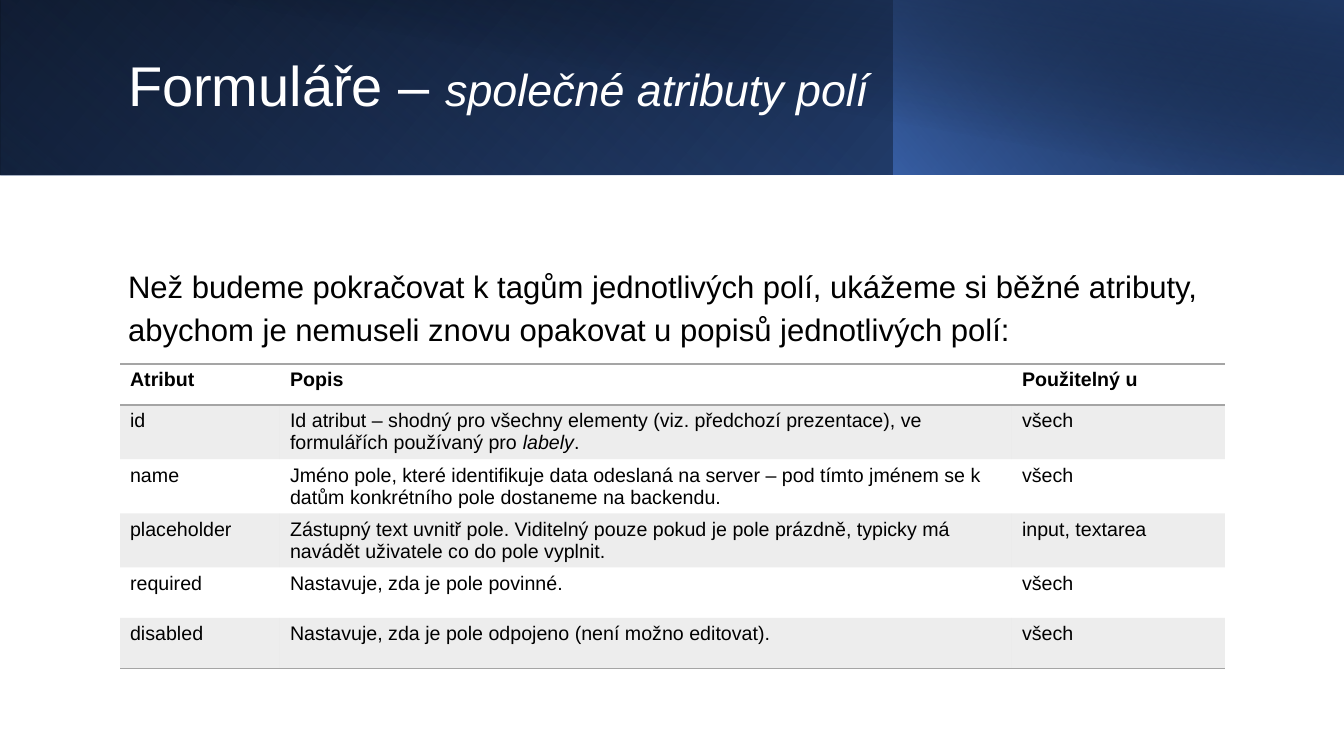
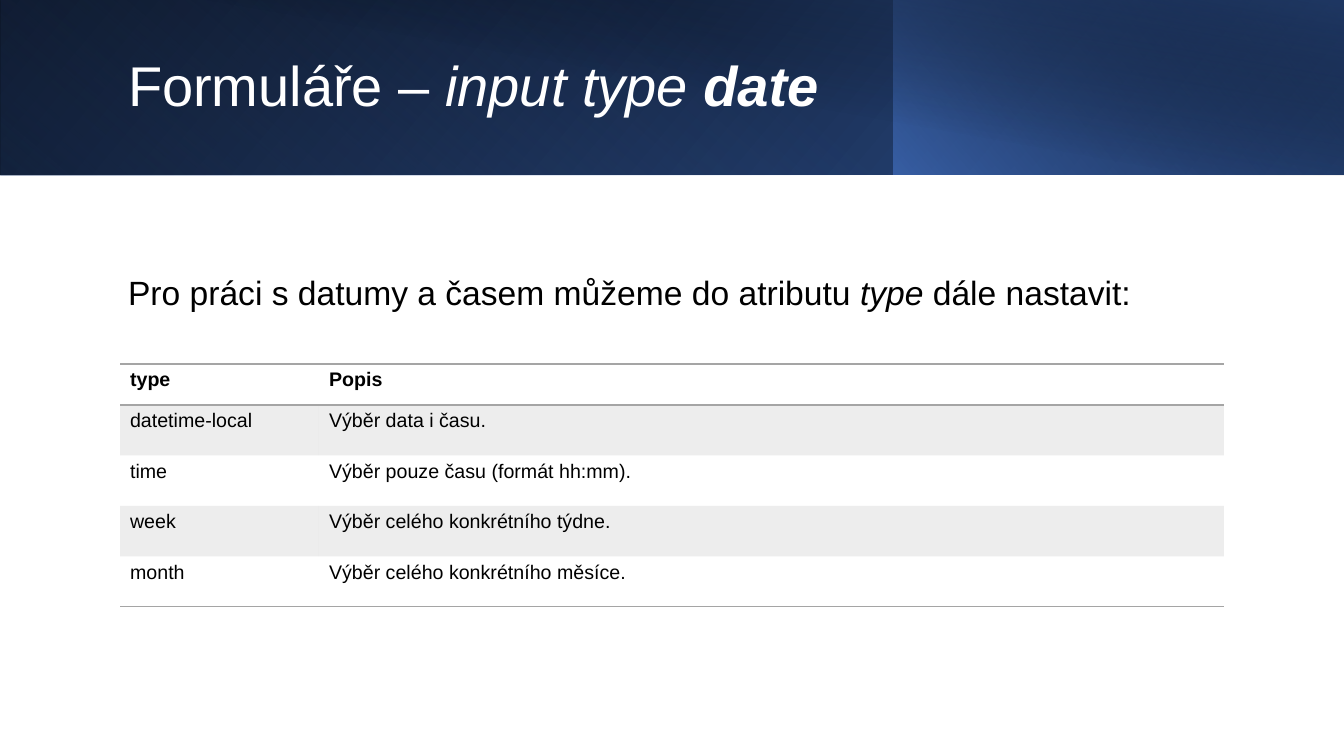
from dataclasses import dataclass
from typing import NamedTuple

import lxml.etree
import pptx
import pptx.dml.color
import pptx.enum.shapes
import pptx.enum.text
import pptx.oxml
import pptx.oxml.ns
import pptx.util

EMU_PER_INCH = 914400
PX_PER_INCH = 100.8
SLIDE_WIDTH, SLIDE_HEIGHT = 1344, 756

FONT = "Arial"
WHITE, BLACK, GREY = "FFFFFF", "000000", "A5A5A5"
BLUE, MID_BLUE, NAVY = "4472C4", "2F5496", "1F3864"
PLAIN_TABLE_STYLE = "{2D5ABB26-0587-4C30-8999-92F81FD0307C}"

TABLE_LEFT, TABLE_TOP = 120, 364
HEADER_HEIGHT = 41
ROW_PAIR_HEIGHT = 101
CELL_SIZE = 14
STRIPE_OPACITY = 20


class Box(NamedTuple):
    left: int
    top: int
    width: int
    height: int


class Run(NamedTuple):
    text: str
    size: float
    italic: bool = False
    bold: bool = False


class Stop(NamedTuple):
    position: int
    color: str
    opacity: int = 100


@dataclass(frozen=True)
class Band:
    box: Box
    angle: int
    stops: tuple[Stop, ...]
    mirrored: bool = True
    rotation: int = 0


@dataclass(frozen=True)
class Lesson:
    title: list[Run]
    intro: list[Run]
    intro_height: int
    columns: list[int]
    rows: list[list[list[Run]]]


TITLE_BOX = Box(118, 31, 776, 114)
INTRO_LEFT, INTRO_TOP, INTRO_WIDTH = 118, 245, 1105

BANDS = [
    Band(Box(0, 0, SLIDE_WIDTH, 175), 140, (Stop(0, BLACK), Stop(100, MID_BLUE))),
    Band(Box(0, 0, 895, 175), 230,
         (Stop(0, BLUE, 0), Stop(20, BLUE, 0), Stop(100, NAVY, 54)), rotation=180),
    Band(Box(894, 0, 450, 175), 220, (Stop(0, BLUE, 65), Stop(100, BLACK, 29))),
    Band(Box(50, 0, 1294, 176), 280,
         (Stop(0, BLACK, 0), Stop(50, BLACK, 0), Stop(99, NAVY, 51), Stop(100, NAVY, 51)),
         mirrored=False),
]


def px(length: int) -> int:
    return round(length * EMU_PER_INCH / PX_PER_INCH)


def rgb(color: str) -> pptx.dml.color.RGBColor:
    return pptx.dml.color.RGBColor.from_string(color)


def cell_text(text: str) -> list[Run]:
    return [Run(text, CELL_SIZE)]


def header_row(*labels: str) -> list[list[Run]]:
    return [[Run(label, CELL_SIZE, bold=True)] for label in labels]


def text_row(*texts: str) -> list[list[Run]]:
    return [cell_text(text) for text in texts]


LESSONS = [
    Lesson(
        title=[Run("Formuláře – ", 40), Run("společné atributy polí", 32, italic=True)],
        intro=[Run("Než budeme pokračovat k tagům jednotlivých polí, ukážeme si běžné atributy, "
                   "abychom je nemuseli znovu opakovat u popisů jednotlivých polí:", 22.2)],
        intro_height=119,
        columns=[160, 732, 213],
        rows=[
            header_row("Atribut", "Popis", "Použitelný u"),
            [
                cell_text("id"),
                [
                    Run("Id atribut – shodný pro všechny elementy (viz. předchozí prezentace), "
                        "ve formulářích používaný pro ", CELL_SIZE),
                    Run("labely", CELL_SIZE, italic=True),
                    Run(".", CELL_SIZE),
                ],
                cell_text("všech"),
            ],
            text_row("name",
                     "Jméno pole, které identifikuje data odeslaná na server – pod tímto "
                     "jménem se k datům konkrétního pole dostaneme na backendu.",
                     "všech"),
            text_row("placeholder",
                     "Zástupný text uvnitř pole. Viditelný pouze pokud je pole prázdně, "
                     "typicky má navádět uživatele co do pole vyplnit.",
                     "input, textarea"),
            text_row("required", "Nastavuje, zda je pole povinné.", "všech"),
            text_row("disabled", "Nastavuje, zda je pole odpojeno (není možno editovat).",
                     "všech"),
        ],
    ),
    Lesson(
        title=[Run("Formuláře – ", 40), Run("input type ", 40, italic=True),
               Run("date", 40, italic=True, bold=True)],
        intro=[Run("Pro práci s datumy a časem můžeme do atributu ", 24),
               Run("type", 24, italic=True), Run(" dále nastavit:", 24)],
        intro_height=89,
        columns=[199, 905],
        rows=[
            header_row("type", "Popis"),
            text_row("datetime-local", "Výběr data i času."),
            text_row("time", "Výběr pouze času (formát hh:mm)."),
            text_row("week", "Výběr celého konkrétního týdne."),
            text_row("month", "Výběr celého konkrétního měsíce."),
        ],
    ),
]


def add_runs(paragraph, runs: list[Run], color: str) -> None:
    for part in runs:
        run = paragraph.add_run()
        run.text = part.text
        run.font.name = FONT
        run.font.size = pptx.util.Pt(part.size)
        run.font.italic = part.italic
        run.font.bold = part.bold
        run.font.color.rgb = rgb(color)


def fill_placeholder(placeholder, box: Box, runs: list[Run], color: str,
                     line_spacing: float) -> None:
    """Place the placeholder in front of the bands and write one unbulleted paragraph."""
    placeholder.left, placeholder.top, placeholder.width, placeholder.height = map(px, box)
    frame = placeholder.text_frame
    frame.word_wrap = True
    frame.auto_size = pptx.enum.text.MSO_AUTO_SIZE.NONE
    frame.vertical_anchor = pptx.enum.text.MSO_ANCHOR.MIDDLE
    paragraph = frame.paragraphs[0]
    paragraph.alignment = pptx.enum.text.PP_ALIGN.LEFT
    paragraph.line_spacing = line_spacing
    paragraph.space_before = pptx.util.Pt(0)
    properties = paragraph._p.get_or_add_pPr()
    properties.set("marL", "0")
    properties.set("indent", "0")
    lxml.etree.SubElement(properties, pptx.oxml.ns.qn("a:buNone"))
    add_runs(paragraph, runs, color)
    tree = placeholder._element.getparent()
    tree.append(placeholder._element)


def gradient(band: Band):
    stops = "".join(
        f'<a:gs pos="{stop.position * 1000}"><a:srgbClr val="{stop.color}">'
        f'<a:alpha val="{stop.opacity * 1000}"/></a:srgbClr></a:gs>'
        for stop in band.stops)
    return pptx.oxml.parse_xml(
        f'<a:gradFill {pptx.oxml.ns.nsdecls("a")} rotWithShape="1"><a:gsLst>{stops}</a:gsLst>'
        f'<a:lin ang="{band.angle * 60000}" scaled="0"/></a:gradFill>')


def add_band(slide, band: Band) -> None:
    shape = slide.shapes.add_shape(pptx.enum.shapes.MSO_SHAPE.RECTANGLE, *map(px, band.box))
    shape.shadow.inherit = False
    shape.line.fill.background()
    shape.rotation = band.rotation
    properties = shape._element.spPr
    if band.mirrored:
        properties.xfrm.set("flipH", "1")
    properties.find(pptx.oxml.ns.qn("a:prstGeom")).addnext(gradient(band))


def add_rule(cell, side: str) -> None:
    cell._tc.get_or_add_tcPr().append(pptx.oxml.parse_xml(
        f'<a:{side} {pptx.oxml.ns.nsdecls("a")} w="{pptx.util.Pt(1)}"><a:solidFill>'
        f'<a:srgbClr val="{GREY}"/></a:solidFill></a:{side}>'))


def fill_stripe(cell) -> None:
    cell.fill.solid()
    cell.fill.fore_color.rgb = rgb(GREY)
    color = cell._tc.tcPr.find(f"{pptx.oxml.ns.qn('a:solidFill')}/{pptx.oxml.ns.qn('a:srgbClr')}")
    alpha = lxml.etree.SubElement(color, pptx.oxml.ns.qn("a:alpha"))
    alpha.set("val", str(STRIPE_OPACITY * 1000))


def add_attribute_table(slide, columns: list[int], rows: list[list[list[Run]]]) -> None:
    row_height = px(ROW_PAIR_HEIGHT) // 2
    last = len(rows) - 1
    frame = slide.shapes.add_table(
        len(rows), len(columns), px(TABLE_LEFT), px(TABLE_TOP),
        px(sum(columns)), px(HEADER_HEIGHT) + last * row_height)
    table = frame.table
    table._tbl.tblPr.find(pptx.oxml.ns.qn("a:tableStyleId")).text = PLAIN_TABLE_STYLE
    for column, width in zip(table.columns, columns):
        column.width = px(width)
    for index, row in enumerate(rows):
        table.rows[index].height = row_height if index else px(HEADER_HEIGHT)
        for cell, runs in zip(table.rows[index].cells, row):
            add_runs(cell.text_frame.paragraphs[0], runs, BLACK)
            if index == 0:
                add_rule(cell, "lnT")
            if index in (0, last):
                add_rule(cell, "lnB")
            if index % 2:
                fill_stripe(cell)
            else:
                cell.fill.background()


def add_lesson(presentation, lesson: Lesson) -> None:
    slide = presentation.slides.add_slide(presentation.slide_layouts[1])
    for band in BANDS:
        add_band(slide, band)
    intro_box = Box(INTRO_LEFT, INTRO_TOP, INTRO_WIDTH, lesson.intro_height)
    fill_placeholder(slide.shapes.title, TITLE_BOX, lesson.title, WHITE, 0.9)
    fill_placeholder(slide.placeholders[1], intro_box, lesson.intro, BLACK, 1.15)
    add_attribute_table(slide, lesson.columns, lesson.rows)


def main() -> None:
    presentation = pptx.Presentation()
    presentation.slide_width = px(SLIDE_WIDTH)
    presentation.slide_height = px(SLIDE_HEIGHT)
    for lesson in LESSONS:
        add_lesson(presentation, lesson)
    presentation.save("out.pptx")


if __name__ == "__main__":
    main()
